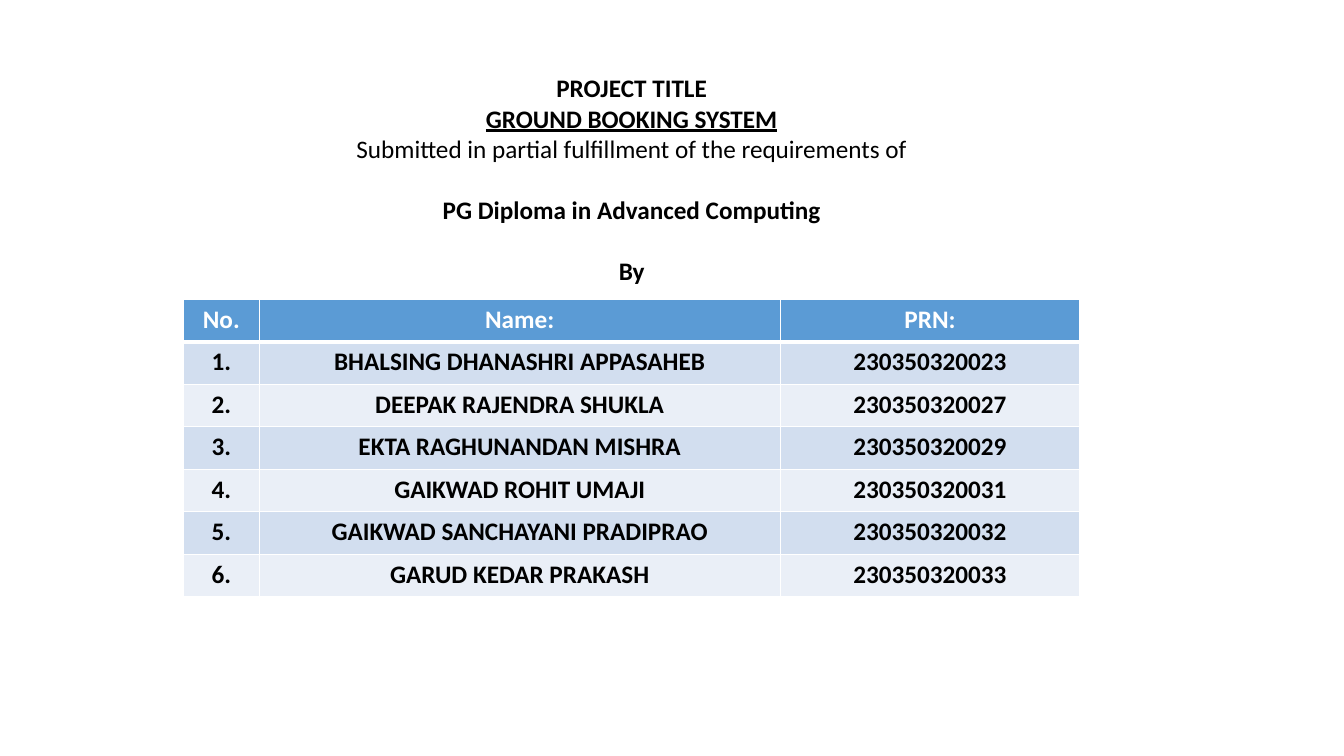
from pptx import Presentation
from pptx import util as u
from pptx.dml.color import RGBColor
from pptx.enum import text
from pptx.oxml import parse_xml
from pptx.oxml.ns import nsdecls

FONT = "Calibri"
BLACK, WHITE, HEADER_BLUE = "000000", "FFFFFF", "5B9BD5"
BANDS = ["D2DEEF", "EAEFF7"]
LINE_HEIGHT = 22

HEADING = [
    ("PROJECT TITLE", {}),
    ("GROUND BOOKING SYSTEM", {"underline": True}),
    ("Submitted in partial fulfillment of the requirements of", {"bold": False}),
    ("PG Diploma in Advanced Computing", {"before": LINE_HEIGHT}),
    ("By", {"before": LINE_HEIGHT}),
]
STUDENTS = [
    ("BHALSING DHANASHRI APPASAHEB", "230350320023"),
    ("DEEPAK RAJENDRA SHUKLA", "230350320027"),
    ("EKTA RAGHUNANDAN MISHRA", "230350320029"),
    ("GAIKWAD ROHIT UMAJI", "230350320031"),
    ("GAIKWAD SANCHAYANI PRADIPRAO", "230350320032"),
    ("GARUD KEDAR PRAKASH", "230350320033"),
]


def rgb(value):
    return RGBColor.from_string(value)


def write(paragraph, words, color=BLACK, bold=True, underline=False, before=0):
    paragraph.alignment = text.PP_ALIGN.CENTER
    paragraph.space_before = u.Pt(before)
    run = paragraph.add_run()
    run.text = words
    font = run.font
    font.name, font.size = FONT, u.Pt(18)
    font.bold, font.underline = bold, underline
    font.color.rgb = rgb(color)


def set_borders(cell, top, bottom):
    """Draw white borders; call before the cell is filled."""
    for side, points in (("L", 1), ("R", 1), ("T", top), ("B", bottom)):
        cell._tc.get_or_add_tcPr().append(parse_xml(
            f'<a:ln{side} {nsdecls("a")} w="{u.Pt(points)}"><a:solidFill>'
            f'<a:srgbClr val="{WHITE}"/></a:solidFill></a:ln{side}>'))


def add_heading(slide, left, top, width, height):
    heading = slide.shapes.title
    heading.left, heading.top = left, top
    heading.width, heading.height = width, height
    frame = heading.text_frame
    frame.word_wrap = True
    frame.auto_size = text.MSO_AUTO_SIZE.NONE
    frame.vertical_anchor = text.MSO_ANCHOR.TOP
    for index, (words, style) in enumerate(HEADING):
        paragraph = frame.add_paragraph() if index else frame.paragraphs[0]
        write(paragraph, words, **style)


def add_students(slide, left, top, width, height):
    rows = [("No.", "Name:", "PRN:")]
    rows += [(f"{number}.", *student) for number, student in enumerate(STUDENTS, 1)]
    table = slide.shapes.add_table(len(rows), 3, left, top, width, height).table
    number_width, name_width = u.Inches(0.75), u.Inches(5.17)
    widths = (number_width, name_width, width - number_width - name_width)
    for column, column_width in zip(table.columns, widths):
        column.width = column_width
    for r, row in enumerate(rows):
        for c, words in enumerate(row):
            cell = table.cell(r, c)
            set_borders(cell, top=3 if r == 1 else 1, bottom=1 if r else 3)
            cell.fill.solid()
            cell.fill.fore_color.rgb = rgb(BANDS[(r - 1) % 2] if r else HEADER_BLUE)
            write(cell.text_frame.paragraphs[0], words, color=BLACK if r else WHITE)


def main():
    deck = Presentation()
    deck.slide_width, deck.slide_height = u.Inches(13.33), u.Inches(7.5)
    slide = deck.slides.add_slide(deck.slide_layouts[5])
    add_heading(slide, u.Inches(0.62), u.Inches(0.67), u.Inches(11.29), u.Inches(2.52))
    add_students(slide, u.Inches(1.82), u.Inches(2.97), u.Inches(8.89), u.Inches(2.95))
    deck.save("out.pptx")


if __name__ == "__main__":
    main()
